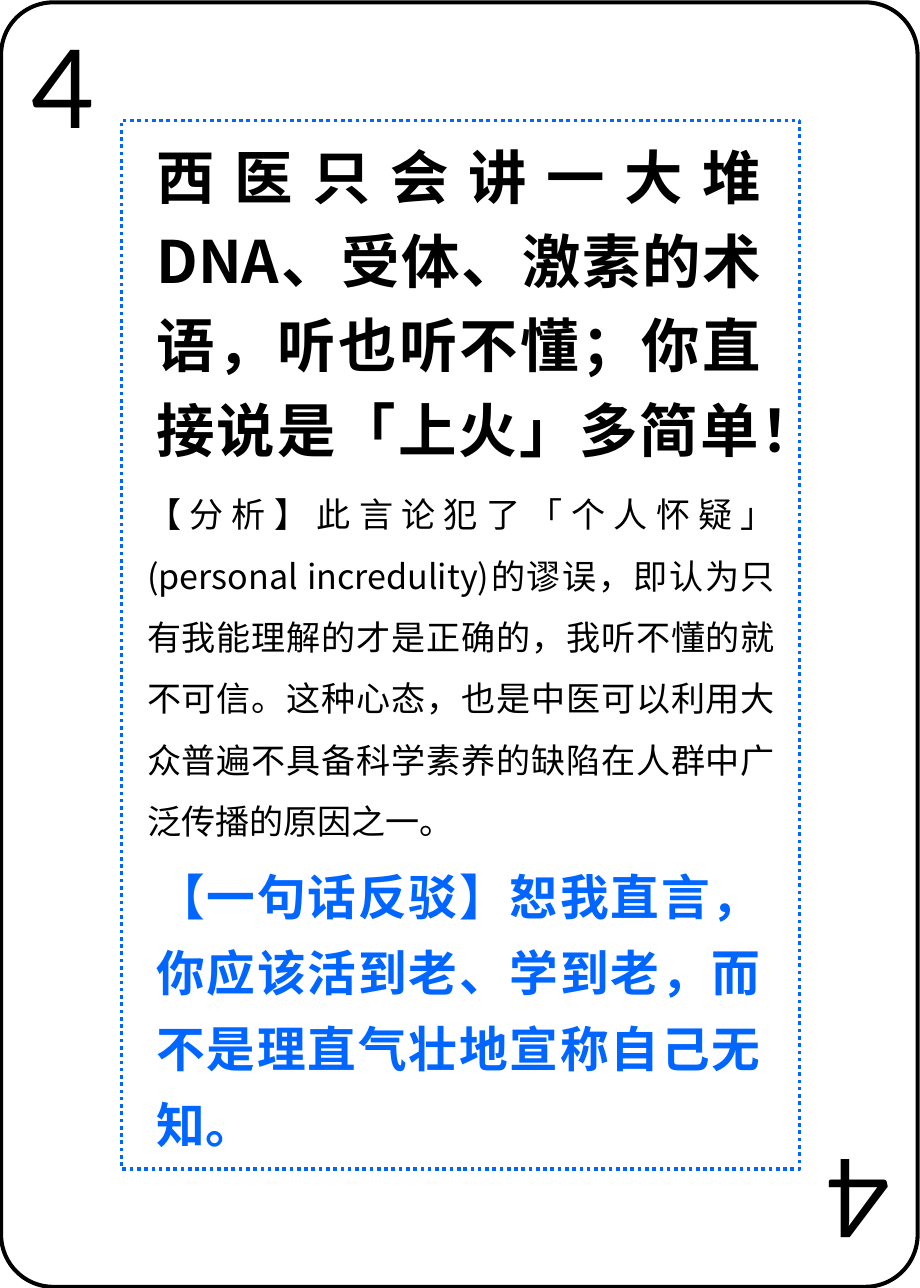
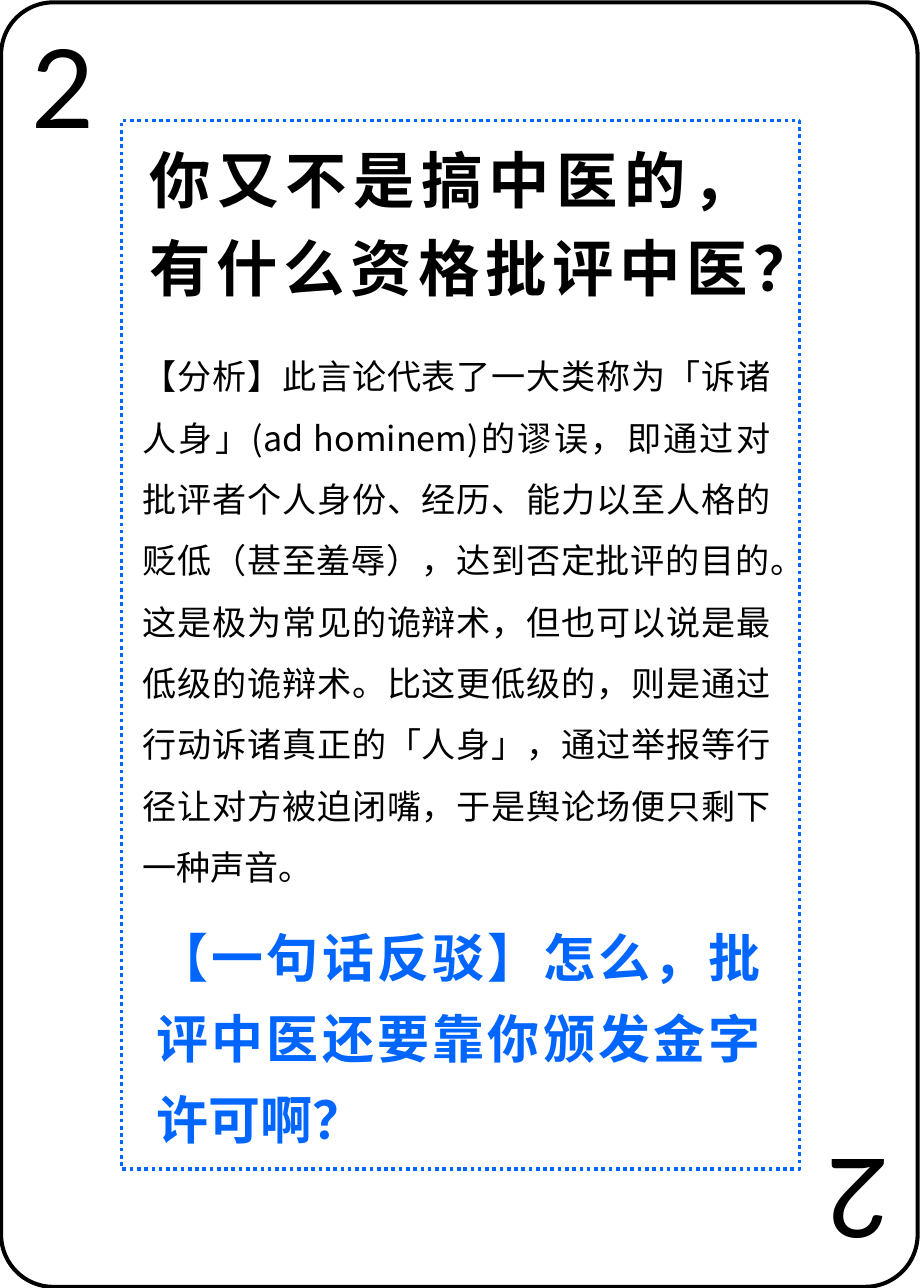
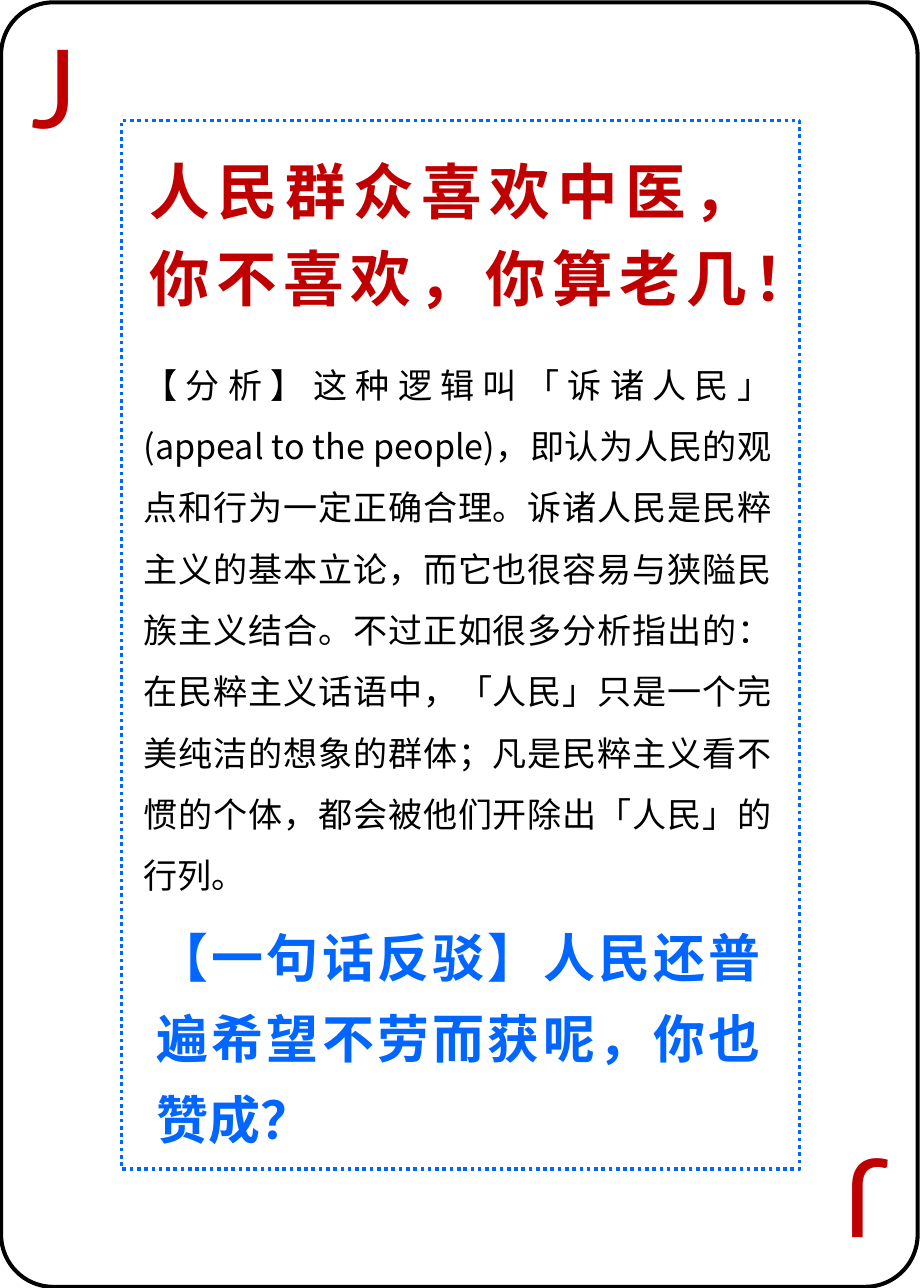
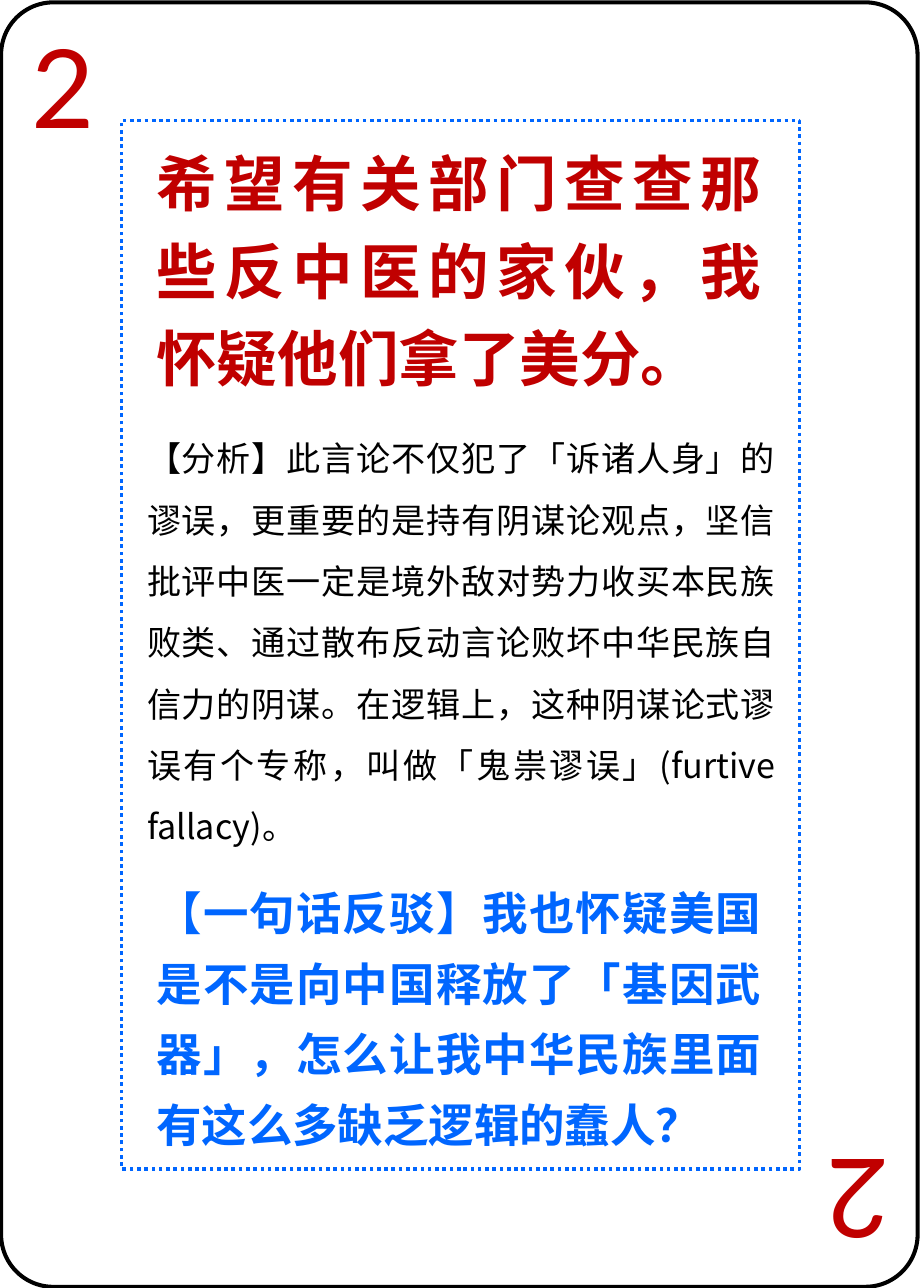
import pptx
import pptx.dml.color
import pptx.enum.dml
import pptx.enum.shapes
import pptx.enum.text
import pptx.oxml.ns
import pptx.util
import lxml.etree

Inches = pptx.util.Inches
Pt = pptx.util.Pt
RGB = pptx.dml.color.RGBColor
SHAPE = pptx.enum.shapes.MSO_SHAPE
DASH = pptx.enum.dml.MSO_LINE
FIT = pptx.enum.text.MSO_AUTO_SIZE
JUST = pptx.enum.text.PP_ALIGN.JUSTIFY
LEFT = pptx.enum.text.PP_ALIGN.LEFT

BLACK = RGB(0x00, 0x00, 0x00)
RED = RGB(0xC0, 0x00, 0x00)
BLUE = RGB(0x00, 0x66, 0xFF)
HAN = "Noto Sans CJK SC"
LATIN = "Lato"

RANK = {"name": LATIN, "size": Pt(67.2), "bold": False}
CLAIM = {"name": HAN, "bold": True}
BODY = {"name": HAN, "size": Pt(21), "bold": False}
REPLY = {"name": HAN, "bold": True}

CARDS = [
    {
        "rank": "4", "color": BLACK,
        "claim": (1.24, 1.04, 2.95, 36, "西医只会讲一大堆DNA、受体、激素的术语，听也听不懂；你直接说是「上火」多简单！"),
        "body": (1.16, 4, 3.22, "【分析】此言论犯了「个人怀疑」(personal incredulity)的谬误，即认为只有我能理解的才是正确的，我听不懂的就不可信。这种心态，也是中医可以利用大众普遍不具备科学素养的缺陷在人群中广泛传播的原因之一。"),
        "reply": (7.22, 2.66, 30, "【一句话反驳】恕我直言，你应该活到老、学到老，而不是理直气壮地宣称自己无知。"),
    },
    {
        "rank": "2", "color": BLACK,
        "claim": (1.18, 1.04, 1.56, 37.8, "你又不是搞中医的，有什么资格批评中医？"),
        "body": (1.12, 2.82, 4.81, "【分析】此言论代表了一大类称为「诉诸人身」(ad hominem)的谬误，即通过对批评者个人身份、经历、能力以至人格的贬低（甚至羞辱），达到否定批评的目的。这是极为常见的诡辩术，但也可以说是最低级的诡辩术。比这更低级的，则是通过行动诉诸真正的「人身」，通过举报等行径让对方被迫闭嘴，于是舆论场便只剩下一种声音。"),
        "reply": (7.71, 2.13, 32, "【一句话反驳】怎么，批评中医还要靠你颁发金字许可啊？"),
    },
    {
        "rank": "J", "color": RED,
        "claim": (1.18, 1.14, 1.55, 37.3, "人民群众喜欢中医，你不喜欢，你算老几！"),
        "body": (1.13, 2.89, 4.81, "【分析】这种逻辑叫「诉诸人民」(appeal to the people)，即认为人民的观点和行为一定正确合理。诉诸人民是民粹主义的基本立论，而它也很容易与狭隘民族主义结合。不过正如很多分析指出的：在民粹主义话语中，「人民」只是一个完美纯洁的想象的群体；凡是民粹主义看不惯的个体，都会被他们开除出「人民」的行列。"),
        "reply": (7.71, 2.13, 32, "【一句话反驳】人民还普遍希望不劳而获呢，你也赞成？"),
    },
    {
        "rank": "2", "color": RED,
        "claim": (1.24, 1.08, 2.3, 37.3, "希望有关部门查查那些反中医的家伙，我怀疑他们拿了美分。"),
        "body": (1.16, 3.52, 3.75, "【分析】此言论不仅犯了「诉诸人身」的谬误，更重要的是持有阴谋论观点，坚信批评中医一定是境外敌对势力收买本民族败类、通过散布反动言论败坏中华民族自信力的阴谋。在逻辑上，这种阴谋论式谬误有个专称，叫做「鬼祟谬误」(furtive fallacy)。"),
        "reply": (7.38, 2.49, 28, "【一句话反驳】我也怀疑美国是不是向中国释放了「基因武器」，怎么让我中华民族里面有这么多缺乏逻辑的蠢人？"),
    },
]


def add_text(slide, area, text, style, color, align=JUST, space=1.0):
    box = slide.shapes.add_textbox(*map(Inches, area))
    frame = box.text_frame
    frame.word_wrap = True
    frame.auto_size = FIT.SHAPE_TO_FIT_TEXT
    para = frame.paragraphs[0]
    para.alignment = align
    para.line_spacing = space
    run = para.add_run()
    run.text = text
    for key, value in style.items():
        setattr(run.font, key, value)
    run.font.color.rgb = color
    east = lxml.etree.SubElement(run._r.get_or_add_rPr(), pptx.oxml.ns.qn("a:ea"))
    east.set("typeface", style["name"])
    return box


def add_frame(slide, kind, area, color, width):
    shape = slide.shapes.add_shape(kind, *map(Inches, area))
    shape.shadow.inherit = False
    shape.fill.background()
    shape.line.color.rgb = color
    shape.line.width = Pt(width)
    return shape


deck = pptx.Presentation()
deck.slide_width = Inches(7.87)
deck.slide_height = Inches(11.02)

for card in CARDS:
    slide = deck.slides.add_slide(deck.slide_layouts[6])
    color = card["color"]

    for left, top, turn in [(0.17, 0.12, 0), (6.95, 9.67, 180)]:
        rank = add_text(slide, (left, top, 0.76, 1.23), card["rank"], RANK, color, LEFT)
        rank.rotation = turn

    left, top, height, size, text = card["claim"]
    add_text(slide, (left, top, 5.37, height), text, CLAIM | {"size": Pt(size)}, color, space=1.2)

    panel = add_frame(slide, SHAPE.RECTANGLE, (1.04, 1.03, 5.8, 8.97), BLUE, 2.25)
    panel.line.dash_style = DASH.ROUND_DOT

    left, top, height, text = card["body"]
    add_text(slide, (left, top, 5.57, height), text, BODY, BLACK, space=1.5)

    top, height, size, text = card["reply"]
    add_text(slide, (1.24, top, 5.37, height), text, REPLY | {"size": Pt(size)}, BLUE, space=1.3)

    edge = add_frame(slide, SHAPE.ROUNDED_RECTANGLE, (0.01, 0.02, 7.84, 10.99), BLACK, 2.5)
    edge.adjustments[0] = 0.057

deck.save("out.pptx")
